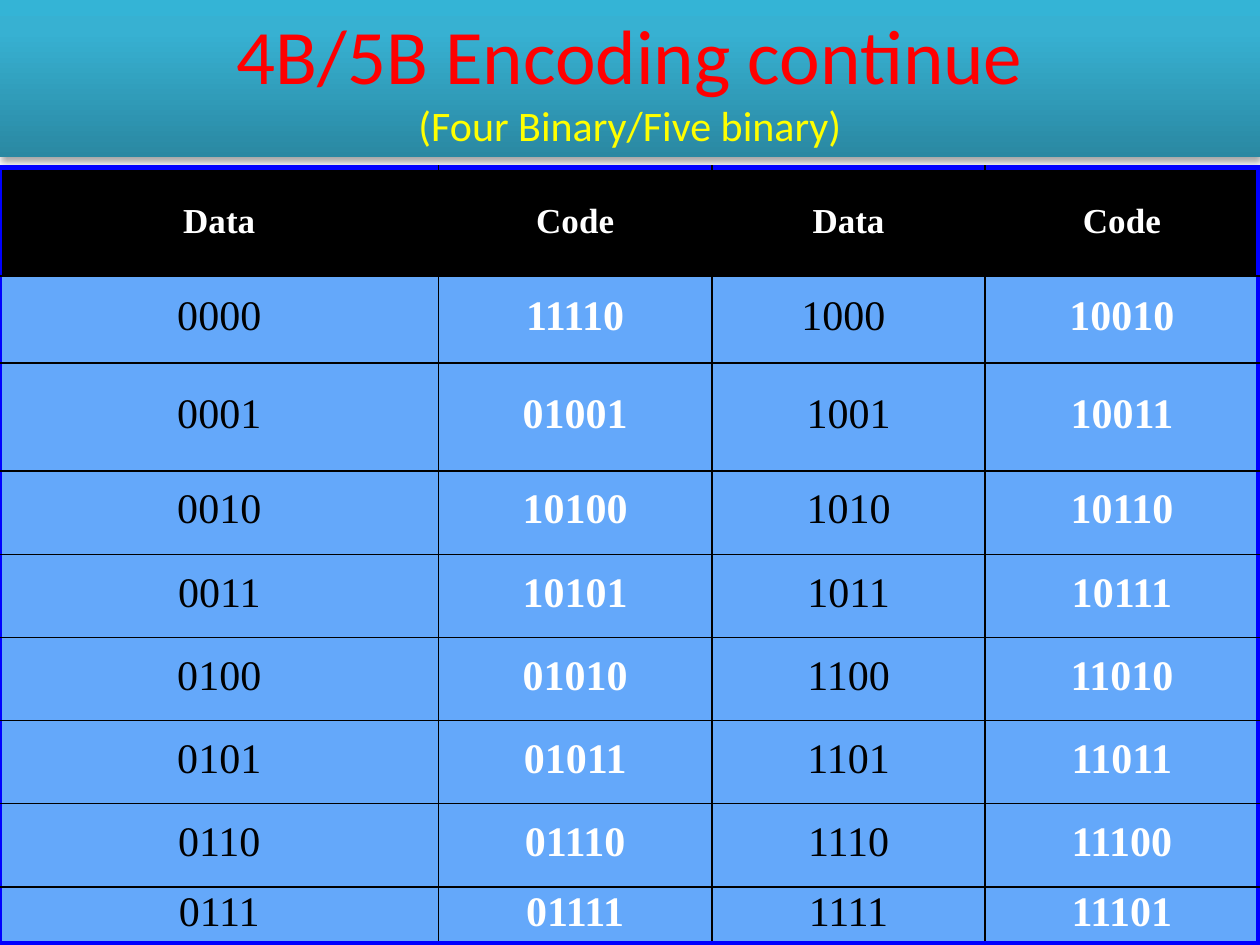
"""Build the 4B/5B encoding slide: a gradient title band above a code table."""
from copy import deepcopy

from lxml.etree import SubElement
from pptx import Presentation
from pptx.dml.color import RGBColor as RGB
from pptx.enum.shapes import MSO_SHAPE as SHAPE
from pptx.enum.text import MSO_ANCHOR as ANCHOR, PP_ALIGN as ALIGN
from pptx.oxml.ns import qn
from pptx.util import Inches, Pt

TITLE = [("4B/5B Encoding continue", 44, "red"), ("(Four Binary/Five binary)", 24, "yellow")]
HEADER = ("Data", "Code", "Data", "Code")
CODES = [
    ("0000", "11110", "1000 ", "10010"),
    ("0001", "01001", "1001", "10011"),
    ("0010", "10100", "1010", "10110"),
    ("0011", "10101", "1011", "10111"),
    ("0100", "01010", "1100", "11010"),
    ("0101", "01011", "1101", "11011"),
    ("0110", "01110", "1110", "11100"),
    ("0111", "01111", "1111", "11101"),
]
COLORS = {
    "red": "FF0000", "yellow": "FFFF00", "black": "000000", "white": "FFFFFF",
    "cell": "64A8FA", "frame": "0000FF",
    "dark teal": "2A88A2", "teal": "37B1D2", "light teal": "34B4D6",
}
GRADIENT = [(0, "dark teal"), (0.8, "teal"), (1, "light teal")]
COL_WIDTHS = [3.48] + [2.17] * 3
ROW_HEIGHTS = [0.86, 0.69, 0.86] + [0.66] * 5 + [0.45]
HEAD_FORMAT = {"size": Pt(20), "bold": True, "name": "Times New Roman"}
DATA_FORMAT = {"size": Pt(24), "bold": False, "name": "Times New Roman"}
CODE_FORMAT = {**DATA_FORMAT, "bold": True}


def rgb(name):
    return RGB.from_string(COLORS[name])


def write(p, text, color, fmt):
    p.alignment = ALIGN.CENTER
    r = p.add_run()
    r.text = text
    r.font.color.rgb = rgb(color)
    for key, value in fmt.items():
        setattr(r.font, key, value)


def add_shadow(sp):
    effects = SubElement(sp._element.spPr, qn("a:effectLst"))
    shadow = SubElement(effects, qn("a:outerShdw"), blurRad="40000", dist="23000",
                        dir="5400000", rotWithShape="0")
    color = SubElement(shadow, qn("a:srgbClr"), val=COLORS["black"])
    SubElement(color, qn("a:alpha"), val="35000")


def add_title(slide):
    sp = slide.shapes.add_shape(SHAPE.RECTANGLE, 0, 0, Inches(10), Inches(1.25))
    sp.line.fill.background()
    sp.fill.gradient()
    sp.fill.gradient_angle = 90
    stops = sp._element.spPr.find(".//" + qn("a:gsLst"))
    stops.append(deepcopy(stops[-1]))
    for stop, (position, color) in zip(sp.fill.gradient_stops, GRADIENT):
        stop.position = position
        stop.color.rgb = rgb(color)
    add_shadow(sp)
    tf = sp.text_frame
    tf.word_wrap = True
    tf.vertical_anchor = ANCHOR.MIDDLE
    for i, (text, size, color) in enumerate(TITLE):
        p = tf.add_paragraph() if i else tf.paragraphs[0]
        write(p, text, color, {"size": Pt(size), "name": "Calibri"})


def set_borders(cell, outer):
    tc_pr = cell._tc.get_or_add_tcPr()
    for i, (side, on_frame) in enumerate(outer.items()):
        color, width = ("frame", 3) if on_frame else ("black", 1)
        ln = tc_pr.makeelement(qn(f"a:ln{side}"), {"w": str(Pt(width))})
        fill = SubElement(ln, qn("a:solidFill"))
        SubElement(fill, qn("a:srgbClr"), val=COLORS[color])
        tc_pr.insert(i, ln)


def add_code_table(slide):
    rows = [HEADER] + CODES
    n_rows, n_cols = len(rows), len(HEADER)
    table = slide.shapes.add_table(n_rows, n_cols, 0, Inches(1.33), Inches(10),
                                   Inches(sum(ROW_HEIGHTS))).table
    table.first_row = table.horz_banding = False
    for col, width in zip(table.columns, COL_WIDTHS):
        col.width = Inches(width)
    for row, height in zip(table.rows, ROW_HEIGHTS):
        row.height = Inches(height)
    for i, texts in enumerate(rows):
        for j, text in enumerate(texts):
            cell = table.cell(i, j)
            cell.vertical_anchor = ANCHOR.MIDDLE
            cell.fill.solid()
            cell.fill.fore_color.rgb = rgb("cell" if i else "black")
            p = cell.text_frame.paragraphs[0]
            if i == 0:
                p.space_before = Pt(4)
                write(p, text, "white", HEAD_FORMAT)
            else:
                p.line_spacing = 0.8
                is_code = j % 2 == 1
                write(p, text, "white" if is_code else "black",
                      CODE_FORMAT if is_code else DATA_FORMAT)
            set_borders(cell, {"L": j == 0, "R": j == n_cols - 1,
                               "T": i == 0, "B": i == n_rows - 1})


def main():
    prs = Presentation()
    prs.slide_width, prs.slide_height = Inches(10), Inches(7.5)
    slide = prs.slides.add_slide(prs.slide_layouts[6])
    add_title(slide)
    add_code_table(slide)
    prs.save("out.pptx")


if __name__ == "__main__":
    main()
